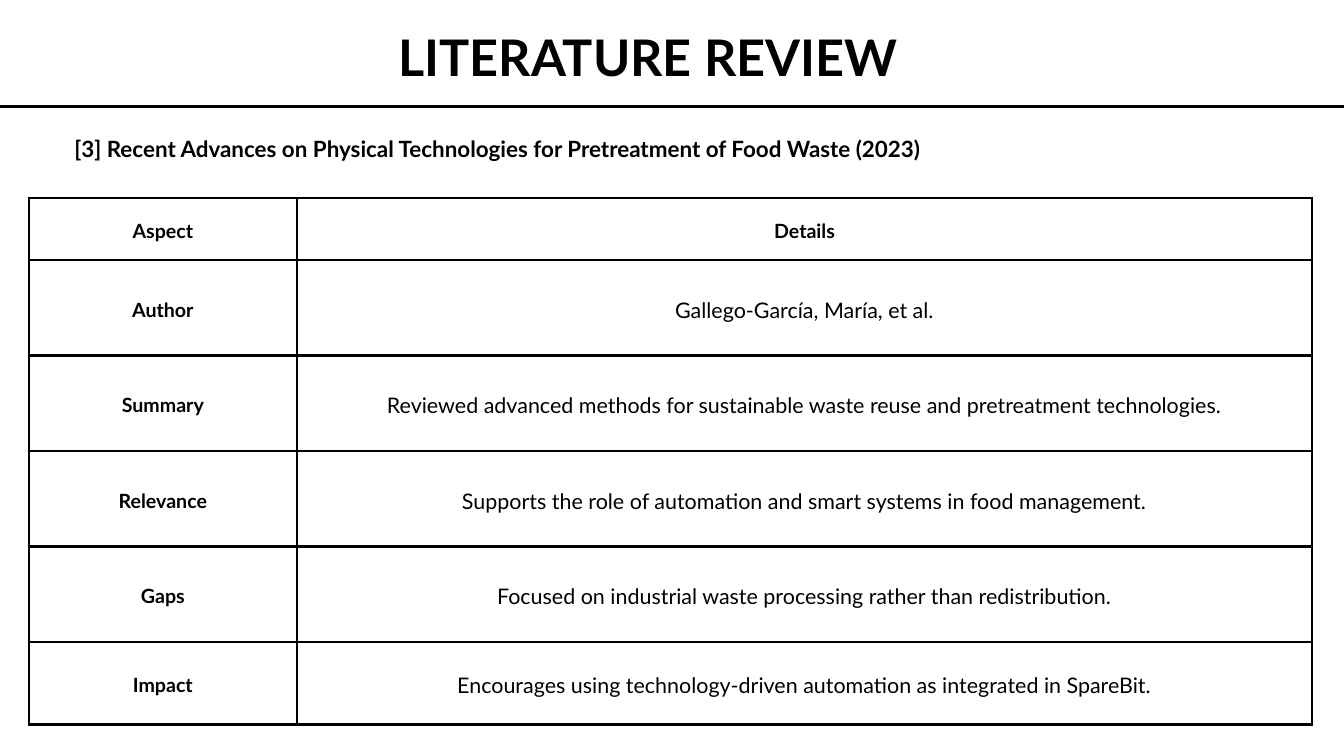
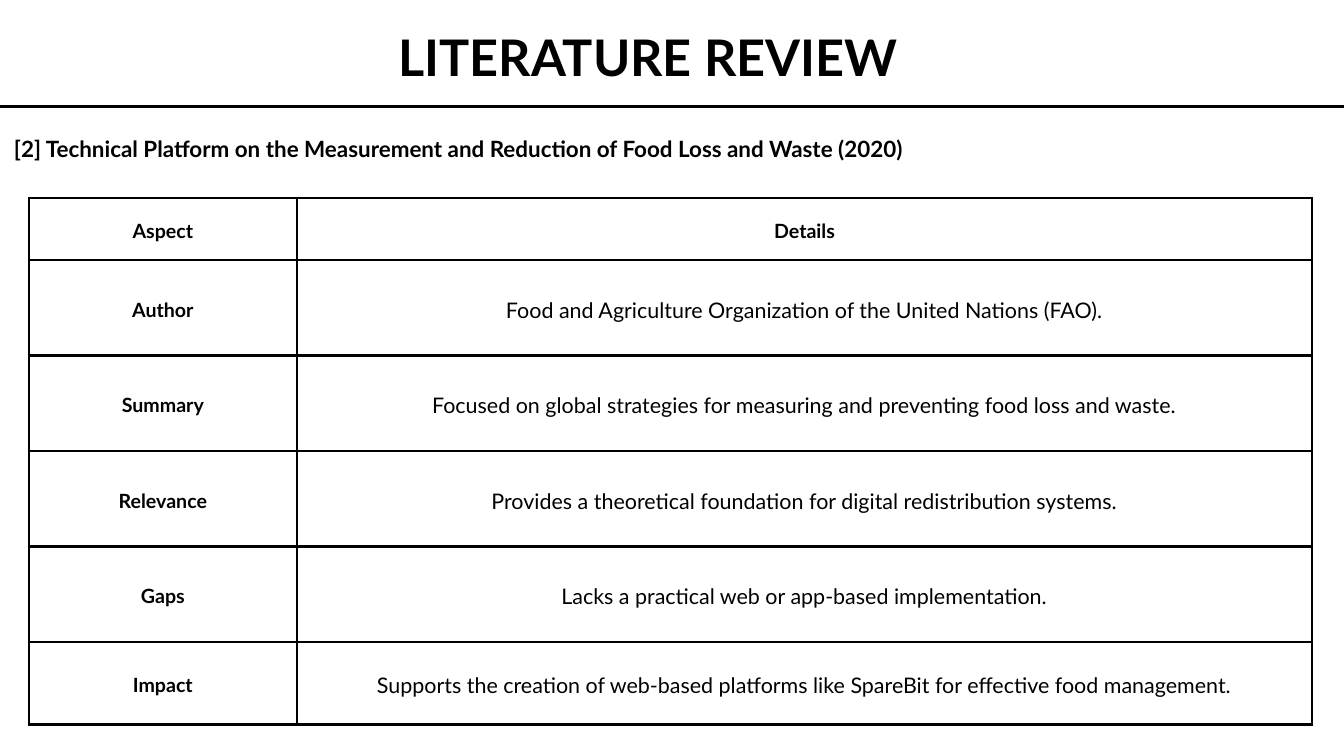
from lxml import etree
from pptx import Presentation
from pptx import util as u
from pptx.dml.color import RGBColor
from pptx.enum import shapes, text
from pptx.oxml import ns

BLACK = RGBColor(0x00, 0x00, 0x00)
FONT = "Lato"
RULE_WIDTH = u.Pt(3)
LINE_SPACING = 1.4
ASPECTS = ["Author", "Summary", "Relevance", "Gaps", "Impact"]
COLUMN_WIDTHS = [10.13, 38.38]
ROW_HEIGHTS = [2.34, 3.61, 3.61, 3.61, 3.61, 3.12]
TABLE_BOX = (1.09, 7.49, sum(COLUMN_WIDTHS), sum(ROW_HEIGHTS))
TITLE_BOX = (14.6, 0.61, 19.79, 2.97)
CENTER, LEFT = text.PP_ALIGN.CENTER, text.PP_ALIGN.LEFT

REVIEWS = [
    {
        "heading": "[3] Recent Advances on Physical Technologies for Pretreatment of Food Waste (2023)",
        "heading_box": (0.66, 4.95, 36.27, 1.35),
        "alignment": CENTER,
        "details": [
            "Gallego-García, María, et al.",
            "Reviewed advanced methods for sustainable waste reuse and pretreatment technologies.",
            "Supports the role of automation and smart systems in food management.",
            "Focused on industrial waste processing rather than redistribution.",
            "Encourages using technology-driven automation as integrated in SpareBit.",
        ],
    },
    {
        "heading": "[2] Technical Platform on the Measurement and Reduction of Food Loss and Waste (2020)",
        "heading_box": (0.53, 4.95, 49.6, 1.35),
        "alignment": LEFT,
        "details": [
            "Food and Agriculture Organization of the United Nations (FAO).",
            "Focused on global strategies for measuring and preventing food loss and waste.",
            "Provides a theoretical foundation for digital redistribution systems.",
            "Lacks a practical web or app-based implementation.",
            "Supports the creation of web-based platforms like SpareBit for effective food management.",
        ],
    },
]


def to_cm(box):
    """Turn a box of centimetre numbers into lengths."""
    return [u.Cm(length) for length in box]


def write_text(frame, content, size, bold=True, alignment=CENTER):
    """Write one formatted paragraph into a text frame."""
    paragraph = frame.paragraphs[0]
    paragraph.alignment = alignment
    paragraph.line_spacing = u.Pt(round(size * LINE_SPACING, 1))
    run = paragraph.add_run()
    run.text = content
    run.font.name = FONT
    run.font.size = u.Pt(size)
    run.font.bold = bold
    run.font.color.rgb = BLACK


def fit_frame(frame):
    """Give a text frame no margins, wrapping and top anchoring."""
    frame.margin_left = frame.margin_top = frame.margin_right = frame.margin_bottom = 0
    frame.word_wrap = True
    frame.vertical_anchor = text.MSO_ANCHOR.TOP
    frame.auto_size = text.MSO_AUTO_SIZE.SHAPE_TO_FIT_TEXT


def add_title(slide, box):
    """Place the slide title in the title placeholder."""
    title = slide.shapes.title
    title.left, title.top, title.width, title.height = to_cm(box)
    fit_frame(title.text_frame)
    write_text(title.text_frame, "LITERATURE REVIEW", 54)


def add_title_rule(slide, left, right, top):
    """Draw the horizontal rule below the title."""
    rule = slide.shapes.add_connector(
        shapes.MSO_CONNECTOR.STRAIGHT, *to_cm((left, top, right, top)))
    rule.line.color.rgb = BLACK
    rule.line.width = RULE_WIDTH
    etree.SubElement(rule._element.spPr, ns.qn("a:effectLst"))


def add_heading(slide, box, content, alignment):
    """Place the heading that names the reviewed work."""
    heading = slide.shapes.add_textbox(*to_cm(box))
    fit_frame(heading.text_frame)
    write_text(heading.text_frame, content, 24, alignment=alignment)


def set_borders(cell):
    """Draw solid borders on all four sides of a cell."""
    properties = cell._tc.get_or_add_tcPr()
    for side in ("lnL", "lnR", "lnT", "lnB"):
        border = etree.SubElement(properties, ns.qn(f"a:{side}"), w=str(RULE_WIDTH))
        fill = etree.SubElement(border, ns.qn("a:solidFill"))
        etree.SubElement(fill, ns.qn("a:srgbClr"), val=str(BLACK))


def fill_cell(cell, content, size, bold):
    """Format one table cell and write its text."""
    cell.margin_left = cell.margin_right = u.Cm(0.53)
    cell.margin_top = cell.margin_bottom = u.Cm(0.53)
    cell.vertical_anchor = text.MSO_ANCHOR.MIDDLE
    set_borders(cell)
    cell.fill.background()
    write_text(cell.text_frame, content, size, bold)


def add_review_table(slide, box, details):
    """Build the table of aspects and details."""
    rows = [("Aspect", "Details"), *zip(ASPECTS, details)]
    table = slide.shapes.add_table(len(rows), len(COLUMN_WIDTHS), *to_cm(box)).table
    table.first_row = table.horz_banding = False
    for column, width in zip(table.columns, COLUMN_WIDTHS):
        column.width = u.Cm(width)
    for row, height in zip(table.rows, ROW_HEIGHTS):
        row.height = u.Cm(height)
    for row_index, contents in enumerate(rows):
        for column_index, content in enumerate(contents):
            is_label = row_index == 0 or column_index == 0
            fill_cell(table.cell(row_index, column_index), content,
                      21 if is_label else 23, is_label)


def add_review_slide(presentation, review):
    """Add one literature review slide."""
    slide = presentation.slides.add_slide(presentation.slide_layouts.get_by_name("Title Only"))
    add_title_rule(slide, -1.5, 52.3, 4.04)
    add_review_table(slide, TABLE_BOX, review["details"])
    add_title(slide, TITLE_BOX)
    add_heading(slide, review["heading_box"], review["heading"], review["alignment"])


def main():
    """Build and save the presentation."""
    presentation = Presentation()
    presentation.slide_width = u.Cm(50.8)
    presentation.slide_height = u.Cm(28.58)
    for review in REVIEWS:
        add_review_slide(presentation, review)
    presentation.save("out.pptx")


if __name__ == "__main__":
    main()
